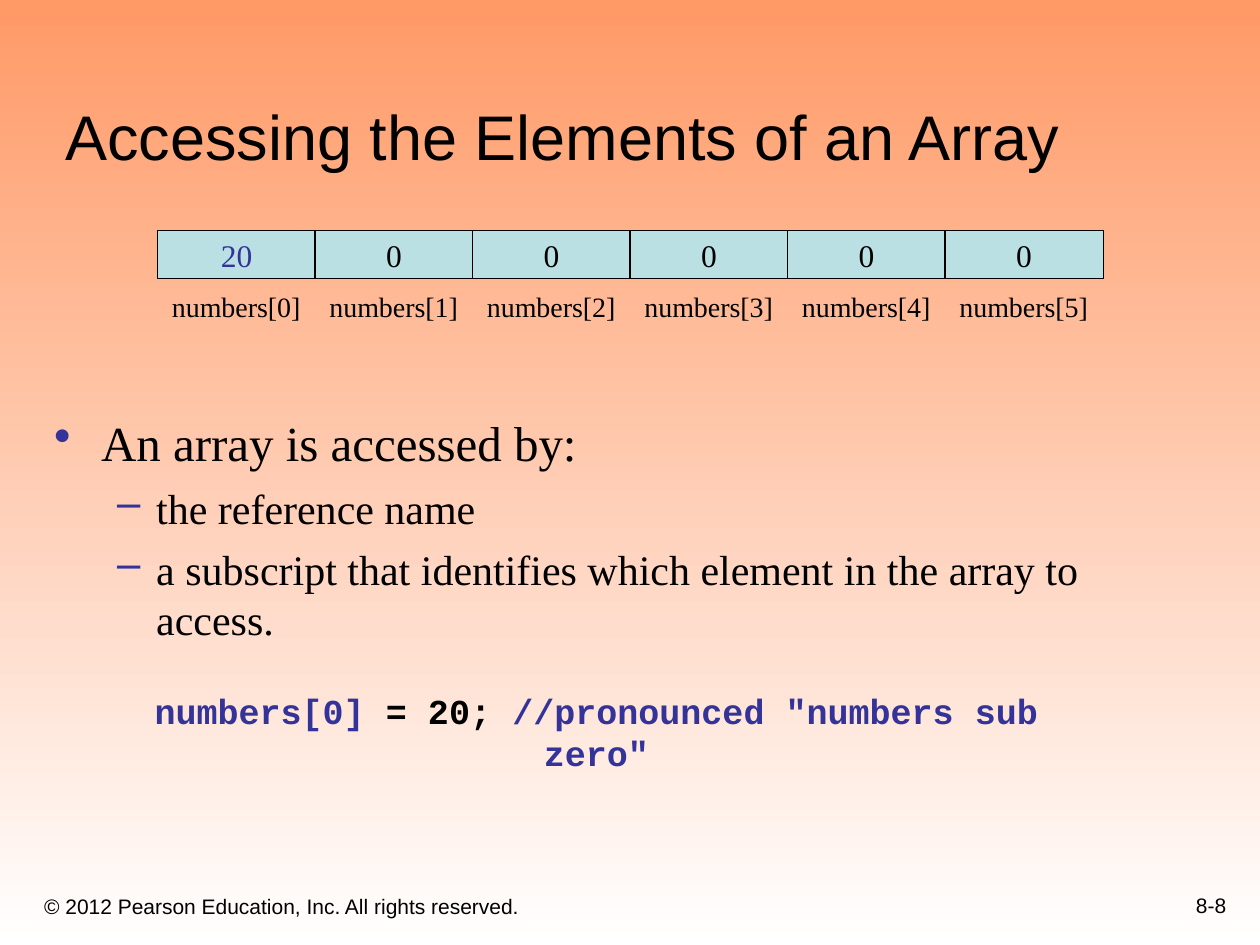
import pptx
import pptx.dml.color
import pptx.enum.shapes
import pptx.enum.text
import pptx.oxml
import pptx.oxml.ns
import pptx.util

Cm, Pt = pptx.util.Cm, pptx.util.Pt
ALIGN = pptx.enum.text.PP_ALIGN
ANCHOR = pptx.enum.text.MSO_ANCHOR

# Content
TITLE = "Accessing the Elements of an Array"
VALUES = ["20", "0", "0", "0", "0", "0"]
ARRAY_NAME = "numbers"
BULLETS = [
    (0, "An array is accessed by:"),
    (1, "the reference name"),
    (1, "a subscript that identifies which element in the array to access."),
]
CODE = [
    ("numbers[0]", "accent"),
    (" = 20; ", "text"),
    ('//pronounced "numbers sub zero"', "accent"),
]
COPYRIGHT = "© 2012 Pearson Education, Inc. All rights reserved."
PAGE = "8-8"

THEME = {
    "colors": {"text": "000000", "accent": "333399", "cell": "BBE0E3",
               "top": "FF9966", "bottom": "FFFFFF"},
    "fonts": {"sans": "Arial", "serif": "Times New Roman", "code": "Courier New"},
    "sizes": {"title": 36, "level0": 28, "level1": 24, "code": 20,
              "value": 18, "label": 16, "footer": 12},
}

# Per level: bullet, left margin, hanging indent, space before
LEVELS = [("•", Cm(0.95), Cm(0.95), 0), ("–", Cm(2.06), Cm(0.79), 6)]

# Array grid
GRID_LEFT, GRID_TOP, PITCH = Cm(3.175), Cm(4.65), Cm(3.175)
CELL_W, CELL_H = Cm(3.19), Cm(0.97)
LABEL_TOP, LABEL_H = Cm(5.72), Cm(0.94)


def color(name):
    return pptx.dml.color.RGBColor.from_string(THEME["colors"][name])


def style(r, font, size, col="text", bold=False):
    r.font.name = THEME["fonts"][font]
    r.font.size = Pt(THEME["sizes"][size])
    r.font.color.rgb = color(col)
    r.font.bold = bold


def add_box(s, left, top, width, height, anchor=ANCHOR.TOP, wrap=True):
    tf = s.shapes.add_textbox(left, top, width, height).text_frame
    tf.word_wrap = wrap
    tf.vertical_anchor = anchor
    return tf


def set_line(tf, text, font, size, col="text", align=ALIGN.LEFT):
    tf.text = text
    p = tf.paragraphs[0]
    p.alignment = align
    style(p.runs[0], font, size, col)


def set_bullet(p, level):
    char, margin, hang, before = LEVELS[level]
    p.level = level
    p.space_before = Pt(before)
    pPr = p._p.get_or_add_pPr()
    pPr.set("marL", str(margin))
    pPr.set("indent", str(-hang))
    ns = pptx.oxml.ns.nsdecls("a")
    for xml in (
        f'<a:buClr {ns}><a:srgbClr val="{THEME["colors"]["accent"]}"/></a:buClr>',
        f'<a:buChar {ns} char="{char}"/>',
    ):
        pPr.append(pptx.oxml.parse_xml(xml))


def add_background(s):
    fill = s.background.fill
    fill.gradient()
    fill.gradient_angle = 270
    for stop, name in zip(fill.gradient_stops, ("top", "bottom")):
        stop.color.rgb = color(name)


def add_array(s):
    for i, value in enumerate(VALUES):
        left = GRID_LEFT + i * PITCH
        sp = s.shapes.add_shape(pptx.enum.shapes.MSO_SHAPE.RECTANGLE,
                                left, GRID_TOP, CELL_W, CELL_H)
        sp.shadow.inherit = False
        sp.fill.solid()
        sp.fill.fore_color.rgb = color("cell")
        sp.line.color.rgb = color("text")
        sp.line.width = Pt(0.75)
        tf = sp.text_frame
        tf.word_wrap = False
        tf.vertical_anchor = ANCHOR.MIDDLE
        # The element just assigned stands out
        set_line(tf, value, "serif", "value", "text" if i else "accent", ALIGN.CENTER)

        tf = add_box(s, left, LABEL_TOP, PITCH, LABEL_H)
        set_line(tf, f"{ARRAY_NAME}[{i}]", "serif", "label", align=ALIGN.CENTER)


def add_bullets(s):
    tf = add_box(s, Cm(0.84), Cm(8.2), Cm(23.04), Cm(5.2))
    tf.margin_right = 0
    for i, (level, text) in enumerate(BULLETS):
        p = tf.add_paragraph() if i else tf.paragraphs[0]
        p.text = text
        set_bullet(p, level)
        style(p.runs[0], "serif", f"level{level}")


def add_code(s):
    tf = add_box(s, Cm(1.6), Cm(13.77), Cm(20.85), Cm(1.12), wrap=False)
    p = tf.paragraphs[0]
    p.alignment = ALIGN.CENTER
    for text, col in CODE:
        r = p.add_run()
        r.text = text
        style(r, "code", "code", col, bold=True)


def main():
    prs = pptx.Presentation()
    prs.slide_width, prs.slide_height = Cm(25.4), Cm(19.05)
    s = prs.slides.add_slide(prs.slide_layouts[6])
    add_background(s)

    # Footer
    tf = add_box(s, Cm(0.64), Cm(17.58), Cm(15.44), Cm(1.07), ANCHOR.BOTTOM)
    set_line(tf, COPYRIGHT, "sans", "footer")
    tf = add_box(s, Cm(19.69), Cm(17.35), Cm(5.28), Cm(1.27), ANCHOR.BOTTOM)
    set_line(tf, PAGE, "sans", "footer", align=ALIGN.RIGHT)

    # Title
    tf = add_box(s, Cm(1.07), Cm(0.43), Cm(21.59), Cm(3.18), ANCHOR.BOTTOM)
    set_line(tf, TITLE, "sans", "title")

    add_bullets(s)
    add_code(s)
    add_array(s)
    prs.save("out.pptx")


if __name__ == "__main__":
    main()
